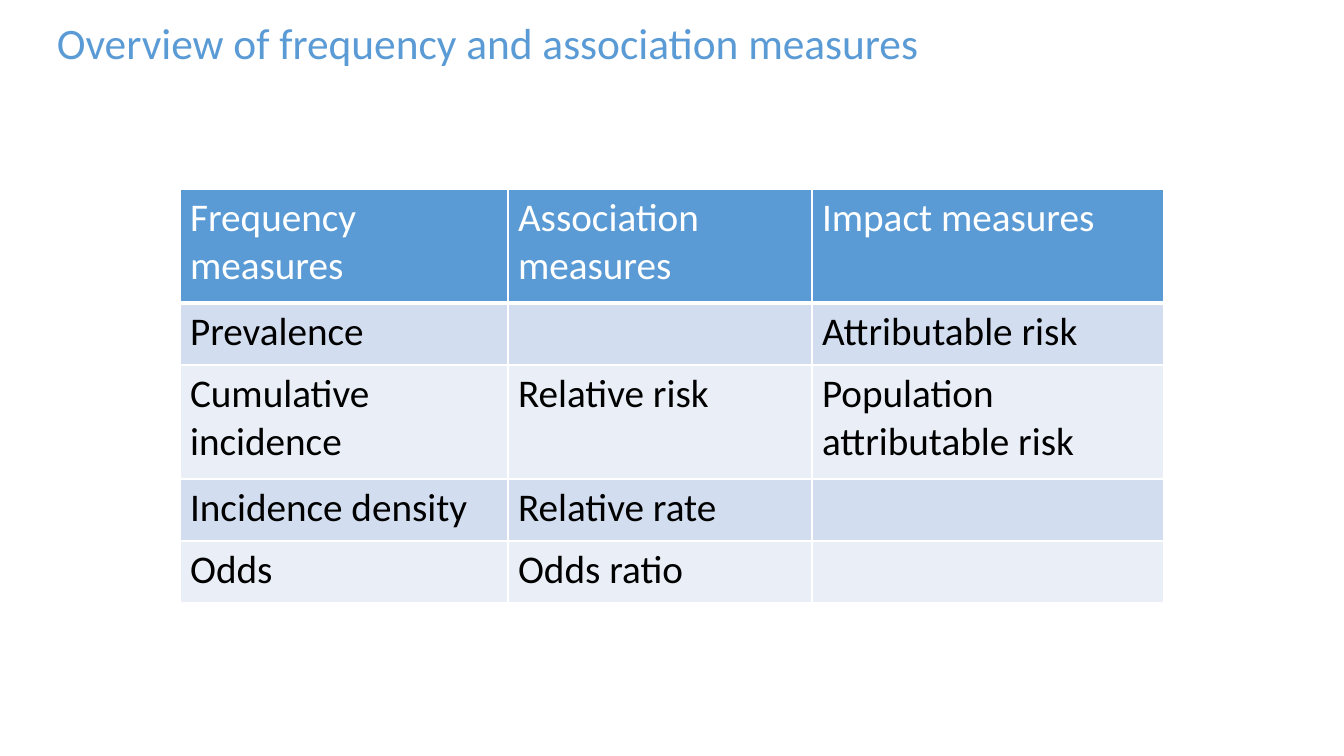
import pptx
import pptx.dml.color
import pptx.enum.text
import pptx.oxml
import pptx.oxml.ns
import pptx.util

SCALE = 914400 / 100.8
COLORS = {
    "accent": "5B9BD5",
    "white": "FFFFFF",
    "black": "000000",
    "dark_band": "D2DEEF",
    "light_band": "EAEFF7",
}
MEASURES = [
    ["Frequency measures", "Association measures", "Impact measures"],
    ["Prevalence", "", "Attributable risk"],
    ["Cumulative incidence", "Relative risk", "Population attributable risk"],
    ["Incidence density", "Relative rate", ""],
    ["Odds", "Odds ratio", ""],
]
COLUMN_WIDTHS = [328, 304, 352]
ROW_HEIGHTS = [114, 62, 114, 62, 62]


def px(length):
    return pptx.util.Emu(round(length * SCALE))


def rgb(name):
    return pptx.dml.color.RGBColor.from_string(COLORS[name])


class SlideBuilder:
    font_name = "Calibri"

    def __init__(self, presentation):
        self.slide = presentation.slides.add_slide(presentation.slide_layouts[6])

    def set_text(self, paragraph, text, size, color):
        formats = {"name": self.font_name, "size": pptx.util.Pt(size), "bold": False}
        paragraph.text = text
        for target in (paragraph, *paragraph.runs):
            for attribute, value in formats.items():
                setattr(target.font, attribute, value)
            target.font.color.rgb = rgb(color)

    def title(self, left, top, width, height, text):
        box = self.slide.shapes.add_textbox(px(left), px(top), px(width), px(height))
        box.text_frame.word_wrap = True
        paragraph = box.text_frame.paragraphs[0]
        paragraph.line_spacing = 0.8
        self.set_text(paragraph, text, 31, "accent")

    def border(self, cell, side, points):
        namespace = pptx.oxml.ns.nsdecls("a")
        line = pptx.oxml.parse_xml(
            f'<a:ln{side} {namespace} w="{pptx.util.Pt(points)}"><a:solidFill>'
            f'<a:srgbClr val="{COLORS["white"]}"/></a:solidFill></a:ln{side}>'
        )
        cell._tc.get_or_add_tcPr().append(line)

    def table(self, left, top, widths, heights, rows):
        frame = self.slide.shapes.add_table(
            len(rows), len(widths), px(left), px(top), px(sum(widths)), px(sum(heights))
        )
        table = frame.table
        for column, width in zip(table.columns, widths):
            column.width = px(width)
        for row, height in zip(table.rows, heights):
            row.height = px(height)
        for row_index, texts in enumerate(rows):
            band = "dark_band" if row_index % 2 else "light_band"
            fill, color = ("accent", "white") if row_index == 0 else (band, "black")
            borders = {
                "L": 1,
                "R": 1,
                "T": 3 if row_index == 1 else 1,
                "B": 3 if row_index == 0 else 1,
            }
            for column_index, text in enumerate(texts):
                cell = table.cell(row_index, column_index)
                for side, points in borders.items():
                    self.border(cell, side, points)
                cell.fill.solid()
                cell.fill.fore_color.rgb = rgb(fill)
                cell.vertical_anchor = pptx.enum.text.MSO_ANCHOR.TOP
                self.set_text(cell.text_frame.paragraphs[0], text, 28, color)


def main():
    presentation = pptx.Presentation()
    presentation.slide_width = px(1344)
    presentation.slide_height = px(756)
    builder = SlideBuilder(presentation)
    builder.title(47, 21, 941, 88, "Overview of frequency and association measures")
    builder.table(180, 189, COLUMN_WIDTHS, ROW_HEIGHTS, MEASURES)
    presentation.save("out.pptx")


if __name__ == "__main__":
    main()
